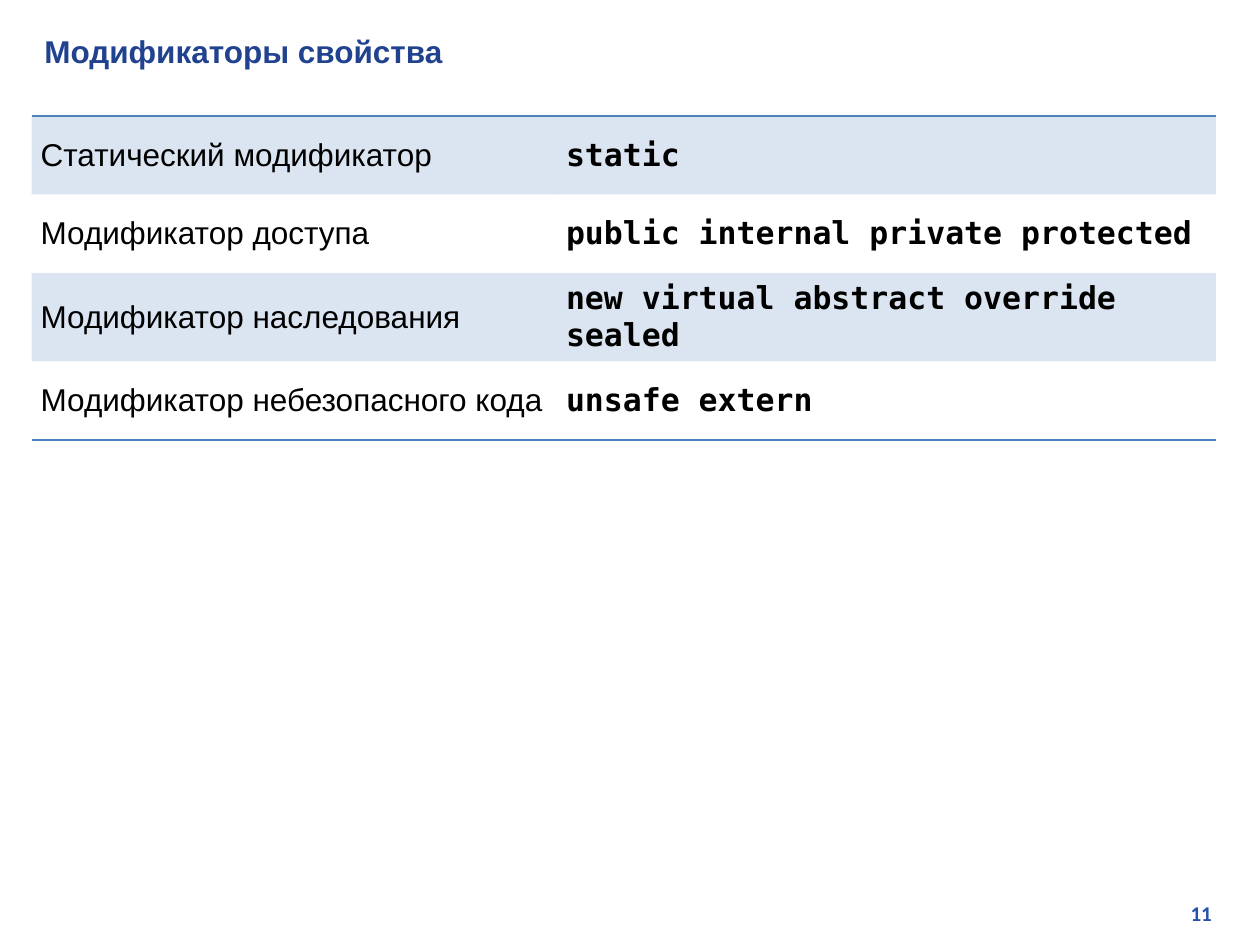
from lxml import etree
from pptx import Presentation
from pptx.dml.color import RGBColor
from pptx.enum.text import MSO_ANCHOR, PP_ALIGN
from pptx.oxml.ns import qn
from pptx.util import Cm, Pt

MIDDLE = MSO_ANCHOR.MIDDLE
LEFT = PP_ALIGN.LEFT
RIGHT = PP_ALIGN.RIGHT
TITLE_ONLY = 5

MODIFIERS = [
    ("Статический модификатор", "static"),
    ("Модификатор доступа", "public internal private protected"),
    ("Модификатор наследования", "new virtual abstract override sealed"),
    ("Модификатор небезопасного кода", "unsafe extern"),
]


def color(value):
    return RGBColor.from_string(value)


def write(frame, text, font="Arial", size=18, fill="000000", bold=False, align=LEFT):
    frame.word_wrap = True
    paragraph = frame.paragraphs[0]
    paragraph.alignment = align
    run = paragraph.add_run()
    run.text = text
    run.font.name = font
    run.font.size = Pt(size)
    run.font.bold = bold
    run.font.color.rgb = color(fill)


def add_solid_fill(parent, value):
    fill = etree.SubElement(parent, qn("a:solidFill"))
    return etree.SubElement(fill, qn("a:srgbClr"), val=value)


class SlideBuilder:
    text_font = "Arial"
    code_font = "DejaVu Sans Mono"
    number_font = "Calibri"
    title_color = "21438F"
    number_color = "2750AB"
    accent = "4F81BD"
    band_alpha = 20

    def __init__(self, presentation):
        self.slide = presentation.slides.add_slide(presentation.slide_layouts[TITLE_ONLY])

    def title(self, text, left, top, width, height):
        shape = self.slide.shapes.title
        shape.left, shape.top, shape.width, shape.height = map(Cm, (left, top, width, height))
        shape.text_frame.vertical_anchor = MIDDLE
        write(shape.text_frame, text, font=self.text_font, fill=self.title_color, bold=True)

    def page_number(self, text, left, top, width, height):
        shape = self.slide.shapes.add_textbox(*map(Cm, (left, top, width, height)))
        write(shape.text_frame, text, font=self.number_font, size=12,
              fill=self.number_color, bold=True, align=RIGHT)

    def table(self, rows, left, top, column_widths, row_height):
        width, height = sum(column_widths), row_height * len(rows)
        shape = self.slide.shapes.add_table(
            len(rows), len(column_widths), *map(Cm, (left, top, width, height)))
        table = shape.table
        table.first_row = False
        table.horz_banding = False
        for column, column_width in zip(table.columns, column_widths):
            column.width = Cm(column_width)
        for index, texts in enumerate(rows):
            table.rows[index].height = Cm(row_height)
            lines = {"lnT": index == 0, "lnB": index == len(rows) - 1}
            for column_index, text in enumerate(texts):
                is_code = column_index == 1
                cell = table.cell(index, column_index)
                self.format_cell(cell, index % 2 == 0, lines)
                write(cell.text_frame, text, bold=is_code,
                      font=self.code_font if is_code else self.text_font)

    def format_cell(self, cell, banded, lines):
        cell.vertical_anchor = MIDDLE
        cell.margin_left = cell.margin_right = Cm(0.18)
        cell.margin_top = cell.margin_bottom = Cm(0.13)
        properties = cell._tc.get_or_add_tcPr()
        for side in ("lnL", "lnR", "lnT", "lnB"):
            line = etree.SubElement(properties, qn(f"a:{side}"), w=str(Pt(1)))
            if lines.get(side):
                add_solid_fill(line, self.accent)
            else:
                etree.SubElement(line, qn("a:noFill"))
        if banded:
            band = add_solid_fill(properties, self.accent)
            etree.SubElement(band, qn("a:alpha"), val=str(self.band_alpha * 1000))
        else:
            cell.fill.background()


def main():
    presentation = Presentation()
    presentation.slide_width = Cm(25.4)
    presentation.slide_height = Cm(19.05)
    builder = SlideBuilder(presentation)
    builder.page_number("11", 19.3, 18.03, 5.38, 0.76)
    builder.title("Модификаторы свойства", 0.64, 0.51, 24.23, 1.02)
    builder.table(MODIFIERS, 0.64, 2.34, (10.59, 13.28), 1.58)
    presentation.save("out.pptx")


if __name__ == "__main__":
    main()
